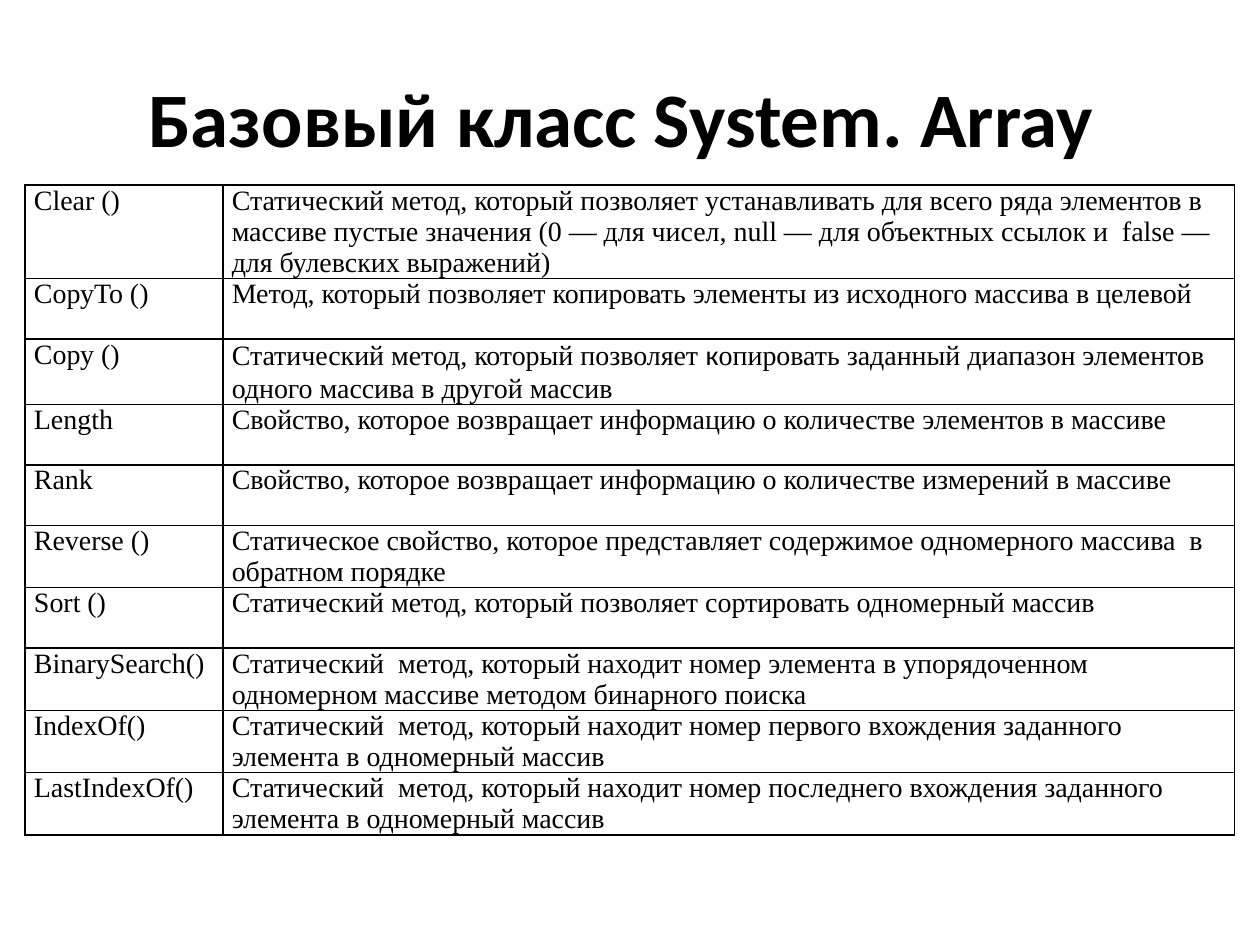
from lxml import etree
from pptx import Presentation
from pptx.dml.color import RGBColor
from pptx.enum.text import MSO_ANCHOR, PP_ALIGN
from pptx.oxml.ns import qn
from pptx.util import Inches, Pt

MIDDLE, TOP = MSO_ANCHOR.MIDDLE, MSO_ANCHOR.TOP
CENTER, LEFT = PP_ALIGN.CENTER, PP_ALIGN.LEFT
BLACK = "000000"
SERIF, SANS = "Times New Roman", "Calibri"

METHODS = [
    ("Clear ()", ["Статический метод, который позволяет устанавливать для всего "
                  "ряда элементов в массиве пустые значения (0 — для чисел, null — "
                  "для объектных ссылок и  false — для булевских выражений) "]),
    ("СоруТо ()", ["Метод, который позволяет копировать элементы из исходного "
                   "массива в целевой"]),
    ("Сору ()", ["Статический метод, который позволяет ", "к",
                 "опировать заданный диапазон элементов одного массива в "
                 "другой массив"]),
    ("Length", ["Свойство, которое возвращает информацию о количестве "
                "элементов в массиве "]),
    ("Rank", ["Свойство, которое возвращает информацию о количестве "
              "измерений в массиве "]),
    ("Reverse ()", ["Статическое свойство, которое представляет содержимое "
                    "одномерного массива  в обратном порядке "]),
    ("Sort ()", ["Статический метод, который позволяет сортировать "
                 "одномерный массив"]),
    ("BinarySearch()", ["Статический  метод, который находит номер элемента в "
                        "упорядоченном одномерном массиве методом бинарного "
                        "поиска"]),
    ("IndexOf()", ["Статический  метод, который находит номер первого вхождения "
                   "заданного элемента в одномерный массив"]),
    ("LastIndexOf()", ["Статический  метод, который находит номер последнего "
                       "вхождения заданного элемента в одномерный массив"]),
]


def add_run(para, text, font, size, bold=False):
    """Append one black run to a paragraph."""
    run = para.add_run()
    run.text = text
    run.font.name = font
    run.font.size = Pt(size)
    run.font.bold = bold
    run.font.color.rgb = RGBColor.from_string(BLACK)


def add_border(cell):
    """Draw a thin black line on all four sides of a cell."""
    props = cell._tc.get_or_add_tcPr()
    for spot, side in enumerate(("lnL", "lnR", "lnT", "lnB")):
        line = etree.Element(qn("a:" + side), w=str(Pt(1)))
        fill = etree.SubElement(line, qn("a:solidFill"))
        etree.SubElement(fill, qn("a:srgbClr"), val=BLACK)
        props.insert(spot, line)


deck = Presentation()
deck.slide_width, deck.slide_height = Inches(10), Inches(7.5)
slide = deck.slides.add_slide(deck.slide_layouts[5])

title = slide.shapes.title
title.left, title.top = Inches(0.5), Inches(0.3)
title.width, title.height = Inches(9), Inches(1.25)
title.text_frame.vertical_anchor = MIDDLE
head = title.text_frame.paragraphs[0]
head.alignment = CENTER
add_run(head, "Базовый класс System. Array ", SANS, 44, True)

frame = slide.shapes.add_table(len(METHODS), 2, Inches(0.2), Inches(1.47),
                               Inches(9.6), Inches(5.04))
table = frame.table
table.first_row = table.horz_banding = False
for col, width in zip(table.columns, (1.57, 8.03)):
    col.width = Inches(width)

for num, (name, parts) in enumerate(METHODS):
    table.rows[num].height = Inches(0.48 if num else 0.72)
    for cell, texts in zip(table.rows[num].cells, ([name], parts)):
        cell.margin_left = cell.margin_right = Inches(0.07)
        cell.margin_top = cell.margin_bottom = 0
        cell.vertical_anchor = TOP
        cell.fill.background()
        add_border(cell)
        para = cell.text_frame.paragraphs[0]
        para.alignment = LEFT
        for text in texts:
            add_run(para, text, SANS if text == "к" else SERIF, 16)

deck.save("out.pptx")
